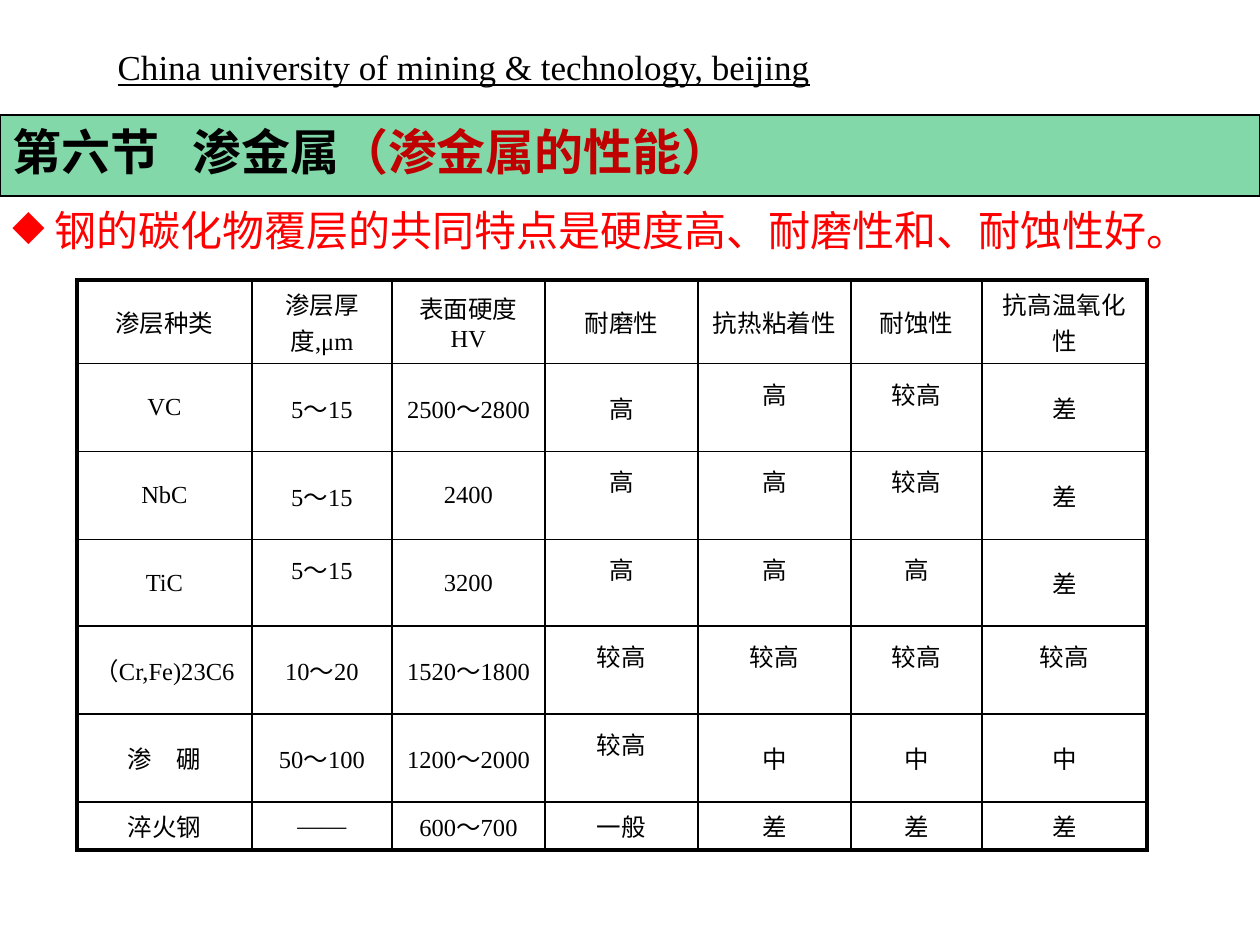
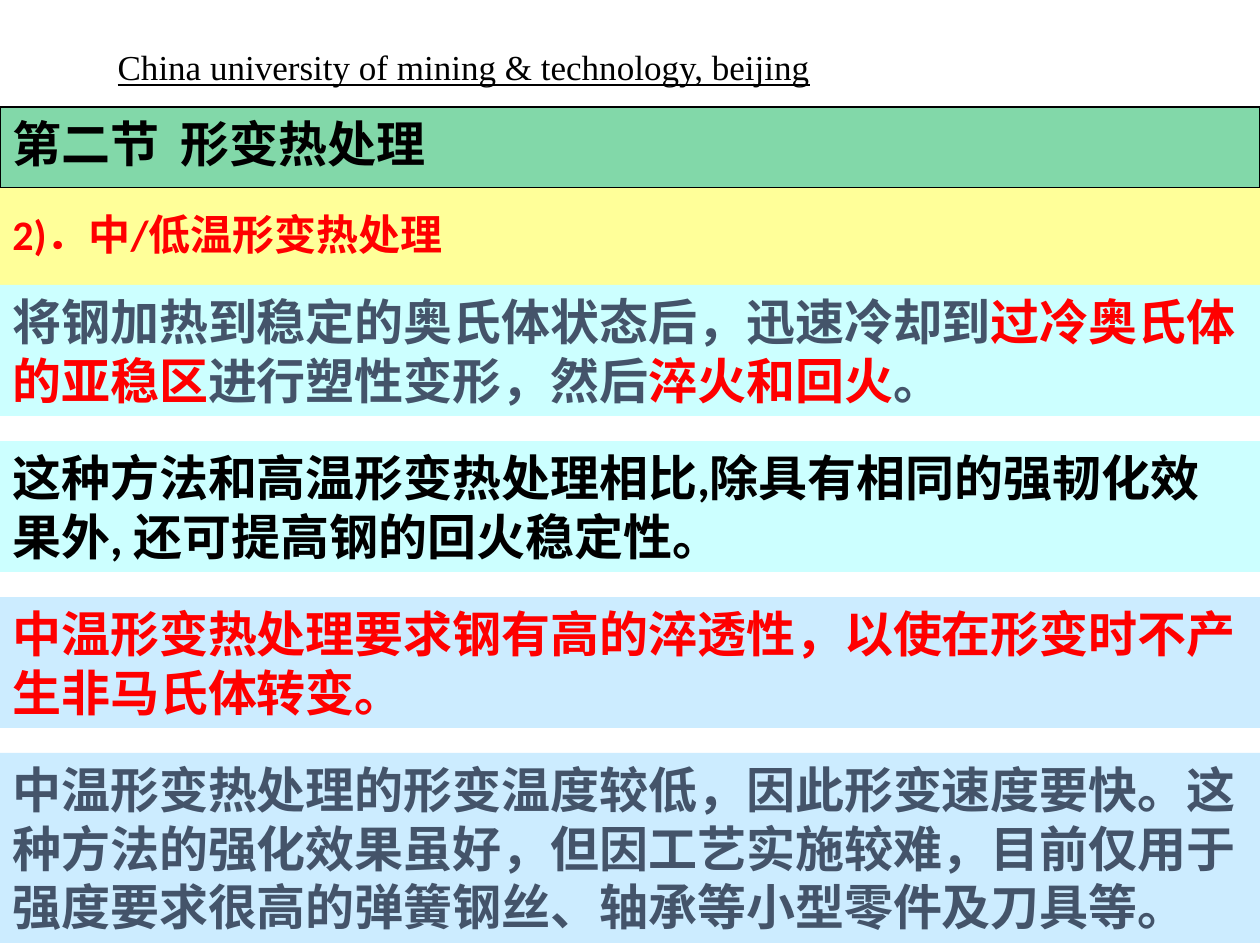
import lxml.etree
import pptx
import pptx.dml.color
import pptx.enum.lang
import pptx.enum.shapes
import pptx.enum.text
import pptx.oxml
import pptx.oxml.ns
import pptx.util

ALIGN = pptx.enum.text.PP_ALIGN
ANCHOR = pptx.enum.text.MSO_ANCHOR
qn = pptx.oxml.ns.qn

SLIDE_W, SLIDE_H = 1260, 945
BLACK, RED, DARK_RED, SLATE = "000000", "FF0000", "C00000", "44546A"
GREEN, YELLOW, CYAN, BLUE = "00B050", "FFFF99", "CCFFFF", "CCECFF"
BAND_H = 81

COL_WIDTHS = [175, 140, 153, 153, 153, 131, 165]
ROW_HEIGHTS = [81, 88, 88, 87, 88, 88, 47]
COATINGS = [
    ["渗层种类", "渗层厚度,μm", "表面硬度HV", "耐磨性", "抗热粘着性", "耐蚀性", "抗高温氧化性"],
    ["VC", "5～15", "2500～2800", "高", "高", "较高", "差"],
    ["NbC", "5～15", "2400", "高", "高", "较高", "差"],
    ["TiC", "5～15", "3200", "高", "高", "高", "差"],
    ["（Cr,Fe)23C6", "10～20", "1520～1800", "较高", "较高", "较高", "较高"],
    ["渗　硼", "50～100", "1200～2000", "较高", "中", "中", "中"],
    ["淬火钢", "——", "600～700", "一般", "差", "差", "差"],
]
# Columns of each row whose text sits above the middle of the cell
RAISED = {1: (4, 5), 2: (3, 4, 5), 3: (1, 3, 4, 5), 4: (3, 4, 5, 6), 5: (3,)}


def px(n):
    return round(n * 914400 / 126)


def rgb(hex_color):
    return pptx.dml.color.RGBColor.from_string(hex_color)


def add_xml(parent, tag, **attrs):
    return lxml.etree.SubElement(parent, qn(tag), {k: str(v) for k, v in attrs.items()})


def write(tf, runs, size, font="Calibri", color=BLACK, bold=False, underline=False,
          align=ALIGN.LEFT, anchor=ANCHOR.TOP, line_spacing=None, bullet=None, tab=None):
    """Fill a text frame with one paragraph; runs is a string or (text, colour) pairs."""
    tf.word_wrap = True
    tf.auto_size = pptx.enum.text.MSO_AUTO_SIZE.NONE
    tf.vertical_anchor = anchor
    p = tf.paragraphs[0]
    p.alignment = align
    if line_spacing:
        p.line_spacing = line_spacing
    pPr = p._p.get_or_add_pPr()
    if bullet:
        indent = px(42)
        pPr.set("marL", str(indent))
        pPr.set("indent", str(-indent))
        add_xml(pPr, "a:buChar", char=bullet)
    if tab:
        add_xml(add_xml(pPr, "a:tabLst"), "a:tab", pos=px(tab), algn="l")
    for text, run_color in [(runs, color)] if isinstance(runs, str) else runs:
        r = p.add_run()
        r.text = text
        r.font.name = font
        r.font.size = pptx.util.Pt(size)
        r.font.bold = bold
        r.font.underline = underline
        r.font.color.rgb = rgb(run_color)
        r.font.language_id = pptx.enum.lang.MSO_LANGUAGE_ID.SIMPLIFIED_CHINESE


def add_panel(s, y, h, fill, runs, size=28, alpha=None, line=None, **text_format):
    """Full-width coloured box with text."""
    sp = s.shapes.add_shape(pptx.enum.shapes.MSO_SHAPE.RECTANGLE,
                            0, px(y), px(SLIDE_W), px(h))
    sp.shadow.inherit = False
    sp.fill.solid()
    sp.fill.fore_color.rgb = rgb(fill)
    if alpha:
        color = sp._element.spPr.find(qn("a:solidFill"))[0]
        add_xml(color, "a:alpha", val=alpha * 1000)
    if line:
        sp.line.color.rgb = rgb(line)
        sp.line.width = pptx.util.Pt(0.75)
    else:
        sp.line.fill.background()
    write(sp.text_frame, runs, size, **text_format)


def add_section_slide(prs, band_y, heading, tab):
    """Slide with the shared title and a green section band."""
    s = prs.slides.add_slide(prs.slide_layouts.get_by_name("Title Only"))
    title = s.shapes.title
    title.left, title.top, title.width, title.height = map(px, (105, 35, 905, 69))
    write(title.text_frame, "China university of mining & technology, beijing", 20,
          font="Times New Roman", underline=True, anchor=ANCHOR.MIDDLE, line_spacing=0.9)
    add_panel(s, band_y, BAND_H, GREEN, heading, alpha=49, line=BLACK,
              font="Arial", bold=True, tab=tab)
    return s


def set_borders(cell, widths):
    tcPr = cell._tc.get_or_add_tcPr()
    for side, width in zip("LRTB", widths):
        ln = add_xml(tcPr, f"a:ln{side}", w=pptx.util.Pt(width))
        add_xml(add_xml(ln, "a:solidFill"), "a:srgbClr", val=BLACK)


def add_coating_table(s, x, y):
    rows, cols = len(ROW_HEIGHTS), len(COL_WIDTHS)
    table = s.shapes.add_table(rows, cols, px(x), px(y), px(sum(COL_WIDTHS)),
                               px(sum(ROW_HEIGHTS))).table
    table.first_row = table.horz_banding = False
    for col, width in zip(table.columns, COL_WIDTHS):
        col.width = px(width)
    for i, height in enumerate(ROW_HEIGHTS):
        table.rows[i].height = px(height)
        for j, text in enumerate(COATINGS[i]):
            cell = table.cell(i, j)
            outer = (j == 0, j == cols - 1, i == 0, i == rows - 1)
            set_borders(cell, [2.25 if edge else 1 for edge in outer])
            cell.fill.background()
            cell.vertical_anchor = ANCHOR.MIDDLE
            cell.margin_left = cell.margin_right = px(12)
            cell.margin_top = px(6)
            cell.margin_bottom = px(34 if j in RAISED.get(i, ()) else 6)
            write_cell(cell, text)


def write_cell(cell, text):
    p = cell.text_frame.paragraphs[0]
    p.alignment = ALIGN.CENTER
    r = p.add_run()
    r.text = text
    r.font.name = "Times New Roman"
    r.font.size = pptx.util.Pt(14)
    r.font.color.rgb = rgb(BLACK)
    r.font.language_id = pptx.enum.lang.MSO_LANGUAGE_ID.SIMPLIFIED_CHINESE


def build_metallizing(prs):
    s = add_section_slide(prs, 115, [("第六节\t渗金属", BLACK), ("（渗金属的性能）", DARK_RED)], tab=180)
    box = s.shapes.add_textbox(0, px(198), px(SLIDE_W), px(121))
    write(box.text_frame, "钢的碳化物覆层的共同特点是硬度高、耐磨性和、耐蚀性好。", 24,
          color=RED, bullet="◆")
    add_coating_table(s, 77, 280)


def build_thermomechanical(prs):
    s = add_section_slide(prs, 107, "第二节\t形变热处理", tab=168)
    add_panel(s, 188, 97, YELLOW, "2)．中/低温形变热处理", size=24, color=RED, bold=True,
              anchor=ANCHOR.MIDDLE, line_spacing=0.9)
    definition = [
        ("将钢加热到稳定的奥氏体状态后，迅速冷却到", SLATE),
        ("过冷奥氏体的亚稳区", RED),
        ("进行塑性变形，然后", SLATE),
        ("淬火和回火", RED),
        ("。", SLATE),
    ]
    comparison = "这种方法和高温形变热处理相比,除具有相同的强韧化效果外, 还可提高钢的回火稳定性。"
    requirement = "中温形变热处理要求钢有高的淬透性，以使在形变时不产生非马氏体转变。"
    application = ("中温形变热处理的形变温度较低，因此形变速度要快。这种方法的强化效果虽好，"
                   "但因工艺实施较难，目前仅用于强度要求很高的弹簧钢丝、轴承等小型零件及刀具等。")
    panels = [
        (131, CYAN, definition),
        (131, CYAN, [(comparison, BLACK)]),
        (131, BLUE, [(requirement, RED)]),
        (190, BLUE, [(application, SLATE)]),
    ]
    y = 285
    for h, fill, runs in panels:
        add_panel(s, y, h, fill, runs, bold=True)
        y += h + 25


def main():
    prs = pptx.Presentation()
    prs.slide_width, prs.slide_height = px(SLIDE_W), px(SLIDE_H)
    build_metallizing(prs)
    build_thermomechanical(prs)
    prs.save("out.pptx")


if __name__ == "__main__":
    main()
